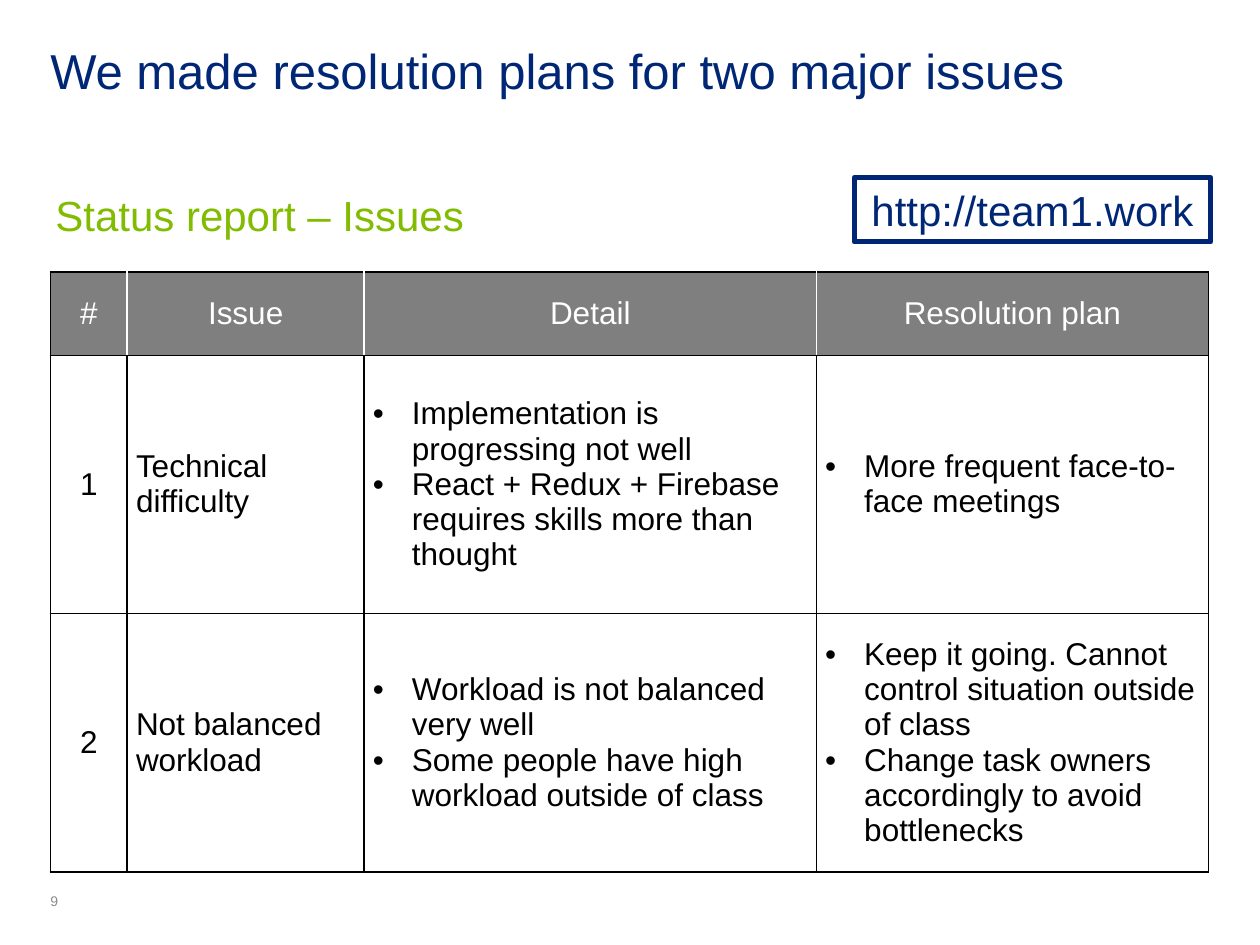
"""Build the issue status slide with its resolution plan table."""
from lxml.etree import SubElement
from pptx import Presentation
from pptx.dml.color import RGBColor
from pptx.enum.shapes import MSO_SHAPE
from pptx.enum.text import MSO_ANCHOR, MSO_AUTO_SIZE, PP_ALIGN
from pptx.oxml.ns import qn
from pptx.util import Inches, Pt

NAVY = RGBColor(0x00, 0x27, 0x76)
FRAME_NAVY = RGBColor(0x00, 0x25, 0x75)
GREEN = RGBColor(0x81, 0xBC, 0x01)
GRAY = RGBColor(0x7F, 0x7F, 0x7F)
LIGHT_GRAY = RGBColor(0x8C, 0x8C, 0x8C)
BLACK = RGBColor(0, 0, 0)
WHITE = RGBColor(0xFF, 0xFF, 0xFF)

COLUMN_WIDTHS = (0.61, 1.88, 3.59, 3.11)
ROW_HEIGHTS = (0.66, 2.05, 2.05)
CENTERED_COLUMN = 0
FIRST_BULLET_COLUMN = 2
ISSUES = (
    (("#",), ("Issue",), ("Detail",), ("Resolution plan",)),
    (("1",), ("Technical difficulty",),
     ("Implementation is progressing not well",
      "React + Redux + Firebase requires skills more than thought"),
     ("More frequent face-to-face meetings",)),
    (("2",), ("Not balanced workload",),
     ("Workload is not balanced very well",
      "Some people have high workload outside of class"),
     ("Keep it going. Cannot control situation outside of class",
      "Change task owners accordingly to avoid bottlenecks")),
)


class SlideBuilder:
    def __init__(self, presentation, font="Arial"):
        self.font = font
        self.slide = presentation.slides.add_slide(presentation.slide_layouts[5])

    def add_text_run(self, paragraph, text, size, color, align=PP_ALIGN.LEFT):
        paragraph.alignment = align
        run = paragraph.add_run()
        run.text = text
        run.font.name = self.font
        run.font.size = Pt(size)
        run.font.color.rgb = color

    def fill_frame(self, shape, text, size, color, anchor, align=PP_ALIGN.LEFT):
        frame = shape.text_frame
        frame.word_wrap = True
        frame.auto_size = MSO_AUTO_SIZE.NONE
        frame.vertical_anchor = anchor
        frame.margin_left = frame.margin_right = 0
        frame.margin_top = frame.margin_bottom = 0
        self.add_text_run(frame.paragraphs[0], text, size, color, align)

    def title(self, text, box, size, color):
        shape = self.slide.shapes.title
        shape.left, shape.top, shape.width, shape.height = map(Inches, box)
        self.fill_frame(shape, text, size, color, MSO_ANCHOR.TOP)

    def text(self, text, box, size, color, anchor=MSO_ANCHOR.TOP):
        shape = self.slide.shapes.add_textbox(*map(Inches, box))
        self.fill_frame(shape, text, size, color, anchor)

    def framed_text(self, text, box, size, color, line_color, line_width):
        shape = self.slide.shapes.add_shape(MSO_SHAPE.RECTANGLE, *map(Inches, box))
        shape.shadow.inherit = False
        shape.fill.background()
        shape.line.color.rgb = line_color
        shape.line.width = Pt(line_width)
        self.fill_frame(shape, text, size, color, MSO_ANCHOR.MIDDLE, PP_ALIGN.CENTER)

    def border(self, cell, side, color):
        properties = cell._tc.get_or_add_tcPr()
        line = SubElement(properties, qn(f"a:ln{side}"), w=str(Pt(1)))
        fill = SubElement(line, qn("a:solidFill"))
        SubElement(fill, qn("a:srgbClr"), val=str(color))

    def bullet(self, paragraph):
        properties = paragraph._p.get_or_add_pPr()
        properties.set("marL", str(Inches(0.31)))
        properties.set("indent", str(Inches(-0.31)))
        SubElement(properties, qn("a:buFont"), typeface=self.font)
        SubElement(properties, qn("a:buChar"), char="•")

    def cell(self, cell, lines, header, centered, bulleted, inner_sides):
        for side in "LRTB":
            self.border(cell, side, WHITE if header and side in inner_sides else BLACK)
        cell.fill.solid()
        cell.fill.fore_color.rgb = GRAY if header else WHITE
        cell.vertical_anchor = MSO_ANCHOR.MIDDLE
        cell.margin_left = cell.margin_right = Inches(0.07)
        cell.margin_top = cell.margin_bottom = 0
        frame = cell.text_frame
        for index, line in enumerate(lines):
            paragraph = frame.add_paragraph() if index else frame.paragraphs[0]
            align = PP_ALIGN.CENTER if centered else PP_ALIGN.LEFT
            self.add_text_run(paragraph, line, 18, WHITE if header else BLACK, align)
            if bulleted:
                self.bullet(paragraph)

    def table(self, rows, left, top, widths, heights):
        box = (left, top, sum(widths), sum(heights))
        table = self.slide.shapes.add_table(
            len(rows), len(widths), *map(Inches, box)).table
        table.first_row = False
        table.horz_banding = False
        for column, width in zip(table.columns, widths):
            column.width = Inches(width)
        for row, height in zip(table.rows, heights):
            row.height = Inches(height)
        last = len(widths) - 1
        for row_index, row in enumerate(rows):
            header = row_index == 0
            for column_index, lines in enumerate(row):
                inner_sides = ("L" if column_index else "") + (
                    "R" if column_index < last else "")
                self.cell(
                    table.cell(row_index, column_index), lines, header,
                    centered=header or column_index == CENTERED_COLUMN,
                    bulleted=not header and column_index >= FIRST_BULLET_COLUMN,
                    inner_sides=inner_sides)


def main():
    presentation = Presentation()
    presentation.slide_width = Inches(10)
    presentation.slide_height = Inches(7.5)
    builder = SlideBuilder(presentation)
    builder.text("9", (0.4, 7.09, 0.5, 0.13), 8, LIGHT_GRAY, MSO_ANCHOR.BOTTOM)
    builder.framed_text("http://team1.work", (6.78, 1.41, 2.83, 0.51), 24,
                        NAVY, FRAME_NAVY, 3)
    builder.title("We made resolution plans for two major issues",
                  (0.4, 0.32, 9.2, 0.51), 28, NAVY)
    builder.text("Status report – Issues", (0.44, 1.5, 9, 0.35), 24, GREEN)
    builder.table(ISSUES, 0.4, 2.16, COLUMN_WIDTHS, ROW_HEIGHTS)
    presentation.save("out.pptx")


main()
